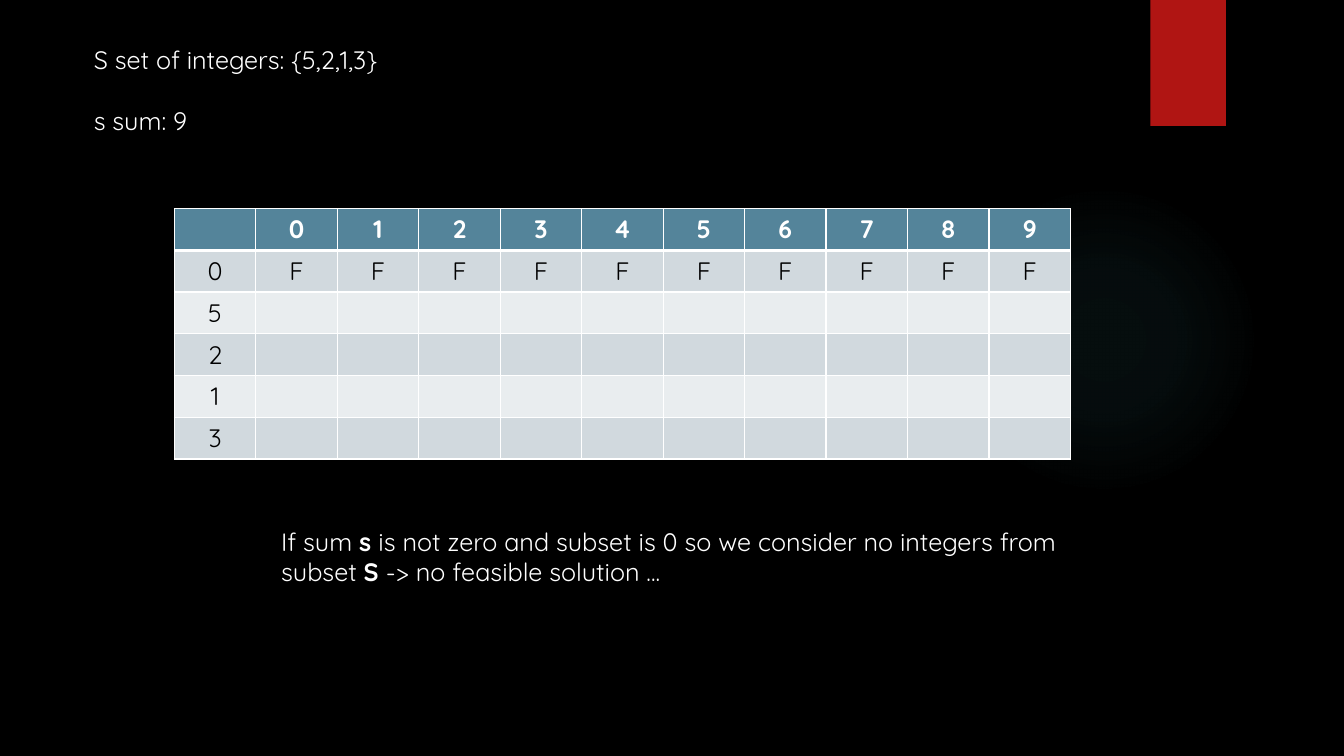
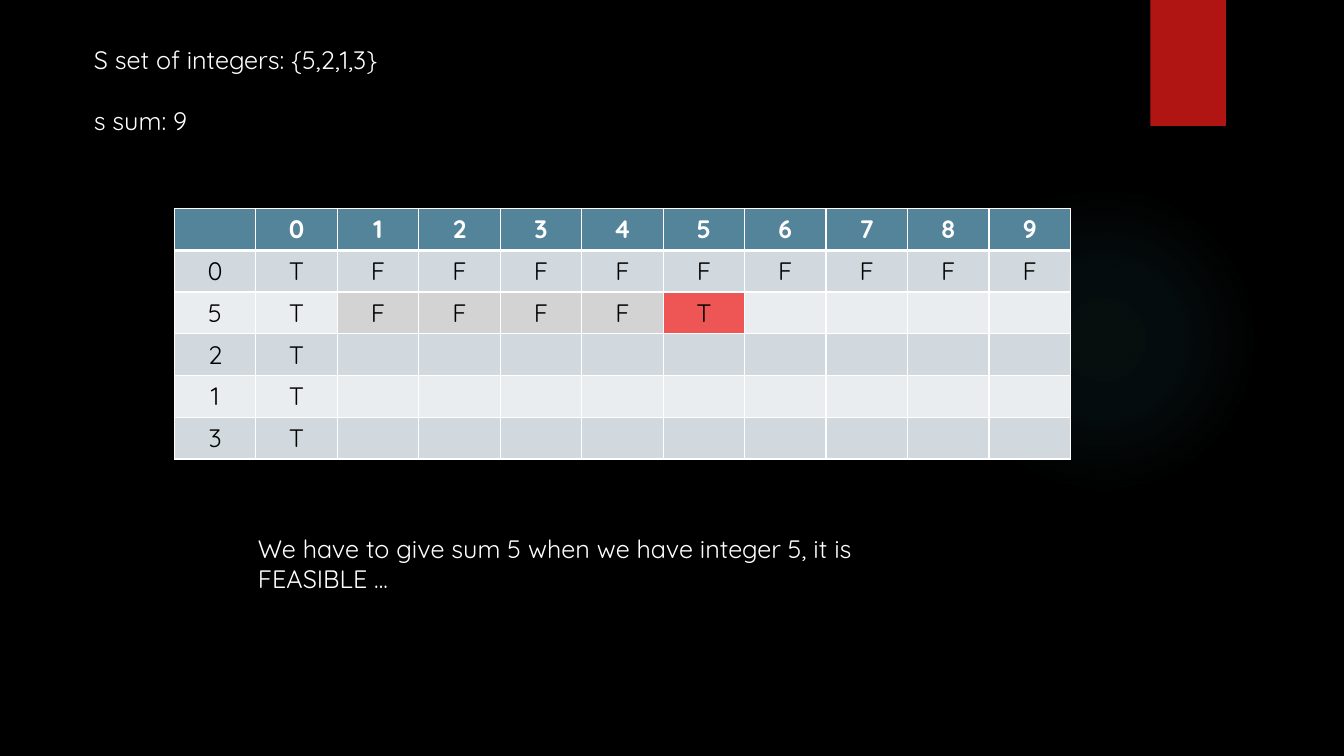
from dataclasses import dataclass, field

from lxml import etree
from pptx import Presentation
from pptx.dml.color import RGBColor
from pptx.enum.shapes import MSO_SHAPE
from pptx.enum.text import MSO_ANCHOR, MSO_AUTO_SIZE, PP_ALIGN
from pptx.oxml import parse_xml
from pptx.oxml.ns import nsdecls, qn
from pptx.util import Emu, Inches, Pt

LEFT, CENTER = PP_ALIGN.LEFT, PP_ALIGN.CENTER
TOP = MSO_ANCHOR.TOP
FIXED = MSO_AUTO_SIZE.NONE
RECT, OVAL = MSO_SHAPE.RECTANGLE, MSO_SHAPE.OVAL

WIDE, HIGH = 13.33, 7.5
FONT, SIZE = "Quicksand", 18
BLACK, WHITE, RED, GLOW = "000000", "FFFFFF", "B01513", "50B9C1"
HEAD, DARK, PALE = "54849A", "D1D9DE", "E9EDEF"
GREY, HIT = "D3D3D3", "ED5654"
GLOW_STOPS = ((0, 7), (36, 6), (69, 0))  # position and opacity, in percent

SET = (5, 2, 1, 3)
SUM = 9
COLS, ROWS = SUM + 2, len(SET) + 2
TABLE_AT = (1.73, 2.07, 8.89, 2.43)

Box = tuple[float, float, float, float]
Run = tuple[str, bool]


@dataclass
class Step:
    """One stage of the table: values by row, cell highlights and a note."""
    rows: list[str]
    note: list[list[Run]]
    at: Box
    marks: dict[tuple[int, int], str] = field(default_factory=dict)


STEPS = [
    Step(
        rows=["F" * (SUM + 1)],
        note=[
            [("If sum ", False), ("s ", True),
             ("is not zero and subset is 0 so we consider no integers from", False)],
            [("subset ", False), ("S ", True), ("-> no feasible solution ...", False)],
        ],
        at=(2.69, 5.17, 8.14, 0.71),
    ),
    Step(
        rows=["T" + "F" * SUM, "TFFFFT", "T", "T", "T"],
        note=[
            [("We have to give sum 5 when we have integer 5, it is", False)],
            [("FEASIBLE ...", False)],
        ],
        at=(2.46, 5.24, 6.61, 0.71),
        marks={**{(2, col): GREY for col in range(2, 6)}, (2, 6): HIT},
    ),
]


def color(code: str) -> RGBColor:
    return RGBColor.from_string(code)


def place(box: Box) -> list[Emu]:
    return [Inches(length) for length in box]


def style(para, code: str, align=LEFT, bold: bool = False) -> None:
    para.alignment = align
    font = para.font
    font.name, font.size, font.bold = FONT, Pt(SIZE), bold
    font.color.rgb = color(code)


def add_glow(shape) -> None:
    """Replace the fill by a round gradient that fades out."""
    stops = "".join(
        f'<a:gs pos="{pos * 1000}"><a:srgbClr val="{GLOW}">'
        f'<a:alpha val="{alpha * 1000}"/></a:srgbClr></a:gs>'
        for pos, alpha in GLOW_STOPS
    )
    grad = parse_xml(
        f'<a:gradFill {nsdecls("a")} rotWithShape="1"><a:gsLst>{stops}</a:gsLst>'
        '<a:path path="circle"><a:fillToRect l="50000" t="50000" r="50000" b="50000"/>'
        "</a:path></a:gradFill>"
    )
    shape.element.spPr.find(qn("a:prstGeom")).addnext(grad)


def add_decor(slide, layout) -> None:
    """Draw the glow and the red band, then hand them to the layout."""
    glow = slide.shapes.add_shape(OVAL, *place((9.41, 1.83, 3.08, 3.08)))
    add_glow(glow)
    band = slide.shapes.add_shape(RECT, *place((11.41, 0, 0.75, HIGH / 6)))
    band.fill.solid()
    band.fill.fore_color.rgb = color(RED)
    for shape in (glow, band):
        shape.shadow.inherit = False
        shape.line.fill.background()
        layout.shapes.element.append(shape.element)


def add_title(slide) -> None:
    title = slide.shapes.title
    title.left, title.top, title.width, title.height = place((0.83, 0.39, 3.19, 1.01))
    frame = title.text_frame
    frame.auto_size, frame.word_wrap = FIXED, False
    frame.vertical_anchor = TOP
    items = ",".join(map(str, SET))
    frame.text = f"S set of integers: {{{items}}}\ns sum: {SUM}"
    for para in frame.paragraphs:
        style(para, WHITE)
    frame.paragraphs[1].space_before = Pt(22)


def add_edges(cell, top: int, base: int) -> None:
    """Give a cell white borders; call this before its fill is set."""
    props = cell._tc.get_or_add_tcPr()
    for side, width in (("L", 1), ("R", 1), ("T", top), ("B", base)):
        line = etree.SubElement(props, qn(f"a:ln{side}"), w=str(Pt(width)))
        fill = etree.SubElement(line, qn("a:solidFill"))
        etree.SubElement(fill, qn("a:srgbClr"), val=WHITE)


def add_grid(slide, step: Step) -> None:
    table = slide.shapes.add_table(ROWS, COLS, *place(TABLE_AT)).table
    labels = ["", 0, *SET]
    for row in range(ROWS):
        head = row == 0
        shade = HEAD if head else DARK if row % 2 else PALE
        if head:
            values = range(SUM + 1)
        else:
            values = step.rows[row - 1] if row <= len(step.rows) else ""
        texts = [labels[row], *values]
        for col in range(COLS):
            cell = table.cell(row, col)
            add_edges(cell, 3 if row == 1 else 1, 3 if head else 1)
            cell.fill.solid()
            cell.fill.fore_color.rgb = color(step.marks.get((row, col), shade))
            if col < len(texts):
                cell.text = str(texts[col])
            style(cell.text_frame.paragraphs[0], WHITE if head else BLACK, CENTER, head)


def add_note(slide, step: Step) -> None:
    frame = slide.shapes.add_textbox(*place(step.at)).text_frame
    frame.word_wrap = False
    for index, line in enumerate(step.note):
        para = frame.add_paragraph() if index else frame.paragraphs[0]
        style(para, WHITE)
        for text, bold in line:
            run = para.add_run()
            run.text = text
            if bold:
                run.font.bold = True


def main() -> None:
    deck = Presentation()
    deck.slide_width, deck.slide_height = Inches(WIDE), Inches(HIGH)
    back = deck.slide_master.background.fill
    back.solid()
    back.fore_color.rgb = color(BLACK)
    layout = deck.slide_layouts.get_by_name("Title Only")
    for index, step in enumerate(STEPS):
        slide = deck.slides.add_slide(layout)
        if index == 0:
            add_decor(slide, layout)
        add_title(slide)
        add_grid(slide, step)
        add_note(slide, step)
    deck.save("out.pptx")


if __name__ == "__main__":
    main()
